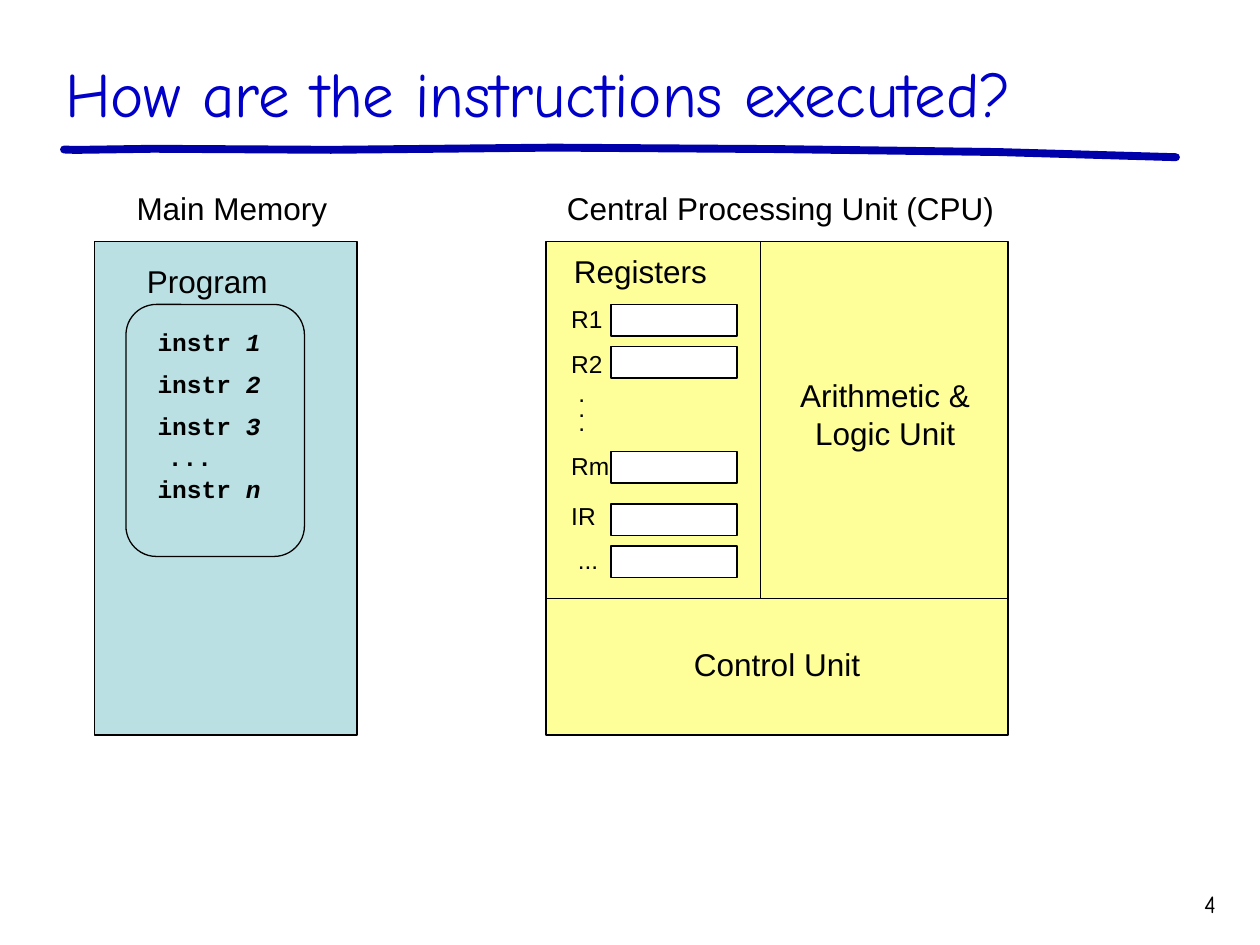
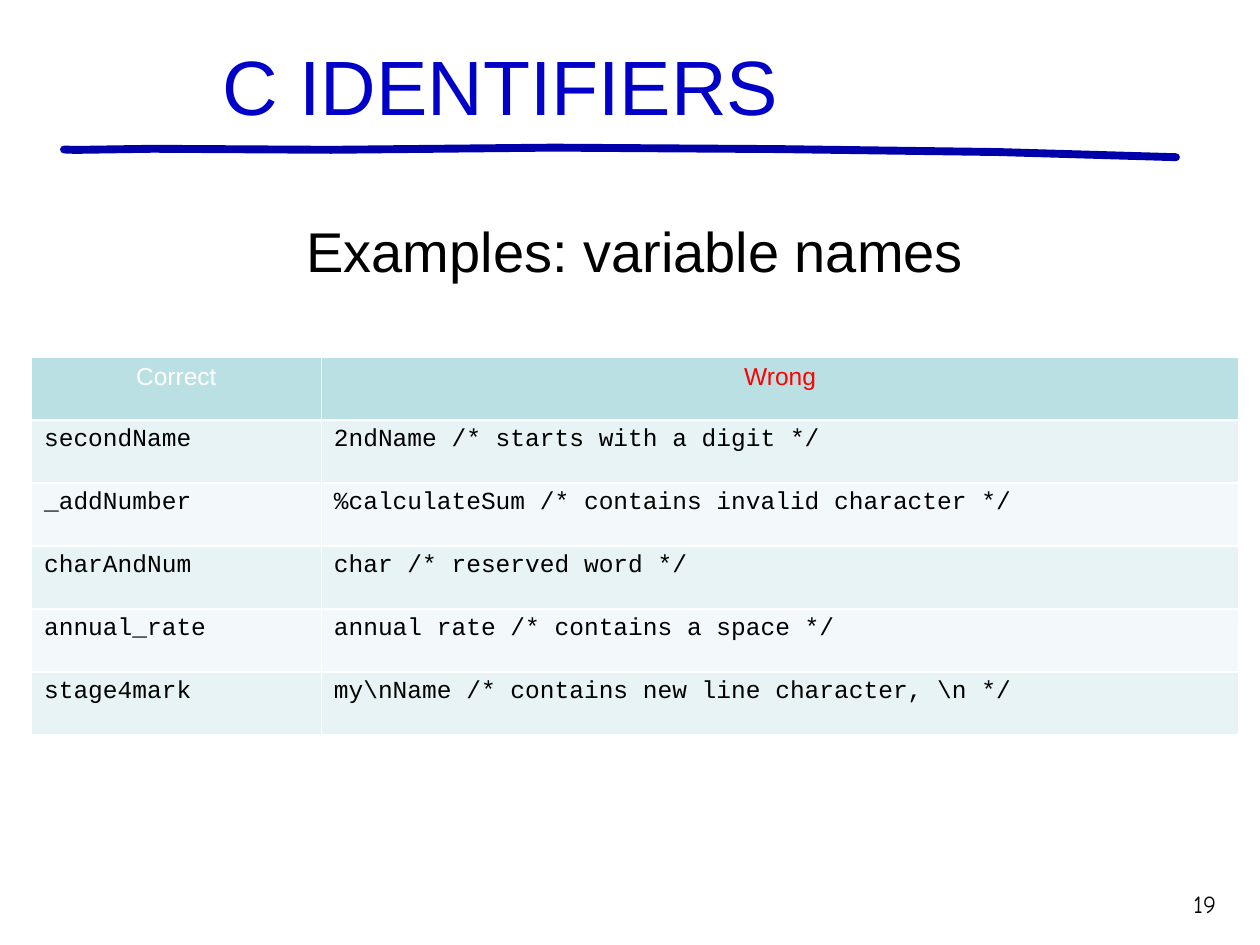
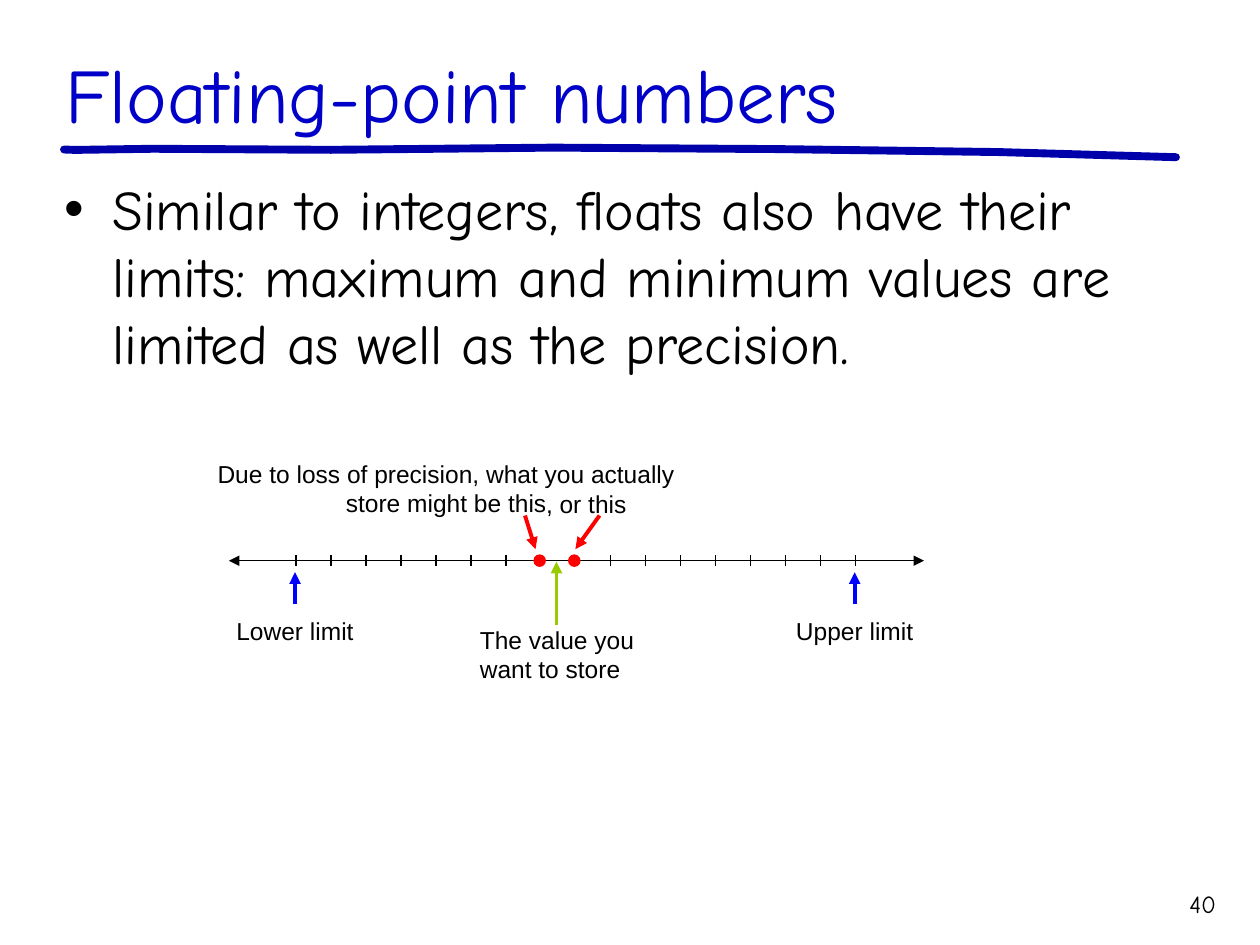
from collections import namedtuple
from dataclasses import dataclass

from lxml import etree
from pptx import Presentation
from pptx.dml.color import RGBColor
from pptx.enum.shapes import MSO_CONNECTOR, MSO_SHAPE
from pptx.enum.text import MSO_ANCHOR, MSO_AUTO_SIZE, PP_ALIGN
from pptx.oxml.ns import qn
from pptx.util import Emu, Pt

LEFT, CENTER, RIGHT = PP_ALIGN.LEFT, PP_ALIGN.CENTER, PP_ALIGN.RIGHT
TOP, MIDDLE = MSO_ANCHOR.TOP, MSO_ANCHOR.MIDDLE
RECT, ROUND, OVAL = MSO_SHAPE.RECTANGLE, MSO_SHAPE.ROUNDED_RECTANGLE, MSO_SHAPE.OVAL
STRAIGHT = MSO_CONNECTOR.STRAIGHT
NO_FIT = MSO_AUTO_SIZE.NONE

COLS, ROWS, CELL = 120, 90, 76200


@dataclass(frozen=True)
class Theme:
    """Colours, fonts and sizes that the slides share."""
    ink: str = "000000"
    paper: str = "FFFFFF"
    title: str = "0000C8"
    band: str = "0000AA"
    yellow: str = "FFFF99"
    teal: str = "BBE0E3"
    stripes: tuple = ("E7F3F4", "F3F9FA")
    red: str = "FF0000"
    blue: str = "0000FF"
    green: str = "99CC00"
    sans: str = "Arial"
    hand: str = "Comic Neue"
    code: str = "Courier New"
    huge: int = 44
    large: int = 36
    body: int = 32
    label: int = 18
    small: int = 14
    thin: float = 0.75
    bold: float = 2.25
    thick: float = 4.5


T = Theme()


class Box(namedtuple("Box", "x y w h")):
    """A region of the slide, measured in grid cells."""

    def cut(self, x, y, w, h):
        """Return a box placed relative to this one."""
        return Box(self.x + x, self.y + y, w, h)

    def spot(self, x, y):
        """Return a point of this box in slide units."""
        return cells(self.x + x), cells(self.y + y)

    def emu(self):
        """Return the four lengths in slide units."""
        return [cells(n) for n in self]


def cells(n):
    """Turn grid cells into slide units."""
    return Emu(round(n * CELL))


def rgb(code):
    """Turn a hex code into a colour."""
    return RGBColor.from_string(code)


def write(frame, lines, size, font=T.sans, color=T.ink, align=LEFT, bold=False, pitch=None):
    """Fill a text frame; a line is a list of (text, italic) runs."""
    for i, line in enumerate(lines):
        para = frame.paragraphs[0] if i == 0 else frame.add_paragraph()
        para.alignment = align
        if pitch:
            para.line_spacing = pitch
        for text, slant in line:
            run = para.add_run()
            run.text = text
            face = run.font
            face.name, face.size, face.bold, face.italic = font, Pt(size), bold, slant
            face.color.rgb = rgb(color)


def plain(text):
    """Wrap a string as one line with one upright run."""
    return [[(text, False)]]


def text(slide, box, lines, size=T.label, inset=False, anchor=MIDDLE, **style):
    """Add a text box and return its frame."""
    frame = slide.shapes.add_textbox(*box.emu()).text_frame
    frame.word_wrap = True
    frame.vertical_anchor = anchor
    if not inset:
        frame.margin_left = frame.margin_right = 0
        frame.margin_top = frame.margin_bottom = 0
    write(frame, plain(lines) if isinstance(lines, str) else lines, size, **style)
    return frame


def shape(slide, kind, box, fill=None, edge=T.ink):
    """Add a preset shape with an optional fill and edge."""
    item = slide.shapes.add_shape(kind, *box.emu())
    item.shadow.inherit = False
    if fill:
        item.fill.solid()
        item.fill.fore_color.rgb = rgb(fill)
    else:
        item.fill.background()
    if edge:
        item.line.color.rgb = rgb(edge)
        item.line.width = Pt(T.thin)
    else:
        item.line.fill.background()
    return item


def line(slide, box, start, end, color=T.ink, width=T.thin, heads=()):
    """Join two points of a box, with arrowheads where asked."""
    item = slide.shapes.add_connector(STRAIGHT, *box.spot(*start), *box.spot(*end))
    item.line.color.rgb = rgb(color)
    item.line.width = Pt(width)
    edge = item.line._get_or_add_ln()
    for head in heads:
        etree.SubElement(edge, qn("a:" + head)).set("type", "triangle")
    etree.SubElement(item._element.spPr, qn("a:effectLst"))


def arrow(slide, box, start, end, color):
    """Add a bold pointer."""
    line(slide, box, start, end, color, T.bold, ["tailEnd"])


def stroke(slide, box):
    """Draw the hand-made rule under the title."""
    bends = [(0, .24), (.01, .28), (.08, .17), (.24, .27), (.44, .06),
             (.64, .2), (.84, .48), (1, .97)]
    first, *rest = [box.spot(x * box.w, y * box.h) for x, y in bends]
    pen = slide.shapes.build_freeform(*first)
    pen.add_line_segments(rest, close=False)
    rule = pen.convert_to_shape()
    rule.shadow.inherit = False
    rule.fill.background()
    rule.line.color.rgb = rgb(T.band)
    rule.line.width = Pt(T.thick)
    rule.line._get_or_add_ln().set("cap", "rnd")


def page(deck, title, number, size=T.huge, font=T.hand, box=Box(5, 3.6, 112, 10.4)):
    """Start a slide with its title, rule and number."""
    slide = deck.slides.add_slide(deck.slide_layouts[5])
    head = slide.shapes.title
    head.left, head.top, head.width, head.height = box.emu()
    frame = head.text_frame
    frame.auto_size = NO_FIT
    frame.vertical_anchor = MIDDLE
    write(frame, plain(title), size, font, T.title)
    stroke(slide, Box(6.1, 14, 105.9, 1))
    text(slide, Box(110, 84, 7, 4.2), number, T.small, inset=True, font=T.hand, align=RIGHT)
    return slide


def memory(slide, box):
    """Draw main memory with the program inside."""
    shape(slide, RECT, box, T.teal)
    text(slide, box.cut(4, -5, 20, 3.6), "Main Memory")
    shape(slide, ROUND, box.cut(3, 6, 17, 24)).adjustments[0] = 0.17
    text(slide, box.cut(5, 2, 14, 3.6), "Program")
    code = dict(size=T.small, font=T.code, bold=True)
    for name, row in zip("123n", (8, 12, 16, 22)):
        text(slide, box.cut(6, row, 10.4, 3), [[("instr ", False), (name, True)]], **code)
    text(slide, box.cut(7, 19, 6, 3), "...", **code)


def cpu(slide, box):
    """Draw the processor: registers, arithmetic and control."""
    split, floor = 20.4, 34
    shape(slide, RECT, box, T.yellow)
    text(slide, box.cut(2, -5, 42, 3.6), "Central Processing Unit (CPU)")
    line(slide, box, (0, floor), (box.w, floor))
    line(slide, box, (split, 0), (split, floor))
    text(slide, box.cut(1, 1, 16, 3.6), "Registers", align=CENTER)
    text(slide, box.cut(22.8, 12.8, 19, 7.2), "Arithmetic & Logic Unit", align=CENTER)
    text(slide, box.cut(1, 38.4, 42, 3.6), "Control Unit", align=CENTER)
    slots = [("R1", 6, .4, LEFT), ("R2", 10, .6, LEFT), ("Rm", 20, .4, LEFT),
             ("IR", 25, .1, LEFT), ("...", 29, .3, CENTER)]
    for name, row, drop, align in slots:
        shape(slide, RECT, box.cut(6.2, row, 12, 3), T.paper)
        left = 2.4 if align == LEFT else 2
        text(slide, box.cut(left, row + drop, 4, 2), name, T.small, align=align)
    text(slide, box.cut(1.4, 14.3, 4, 4), plain(".") * 3, T.small, align=CENTER, pitch=0.5)


def grid(slide, box, heads, rows, share):
    """Draw the table of right and wrong names."""
    table = slide.shapes.add_table(len(rows) + 1, len(heads), *box.emu()).table
    for col, ratio in zip(table.columns, (share, 1 - share)):
        col.width = cells(box.w * ratio)
    for r, row in enumerate([heads] + rows):
        for c, words in enumerate(row):
            cell = table.cell(r, c)
            cell.fill.solid()
            if r == 0:
                cell.fill.fore_color.rgb = rgb(T.teal)
                write(cell.text_frame, plain(words), T.small,
                      color=(T.paper, T.red)[c], align=CENTER)
            else:
                cell.fill.fore_color.rgb = rgb(T.stripes[(r - 1) % 2])
                write(cell.text_frame, plain(words), T.small, T.code)


def point(slide, box, words):
    """Add a bulleted statement with a hanging indent."""
    frame = text(slide, box, words, T.body, inset=True, anchor=TOP, font=T.hand)
    props = frame.paragraphs[0]._p.get_or_add_pPr()
    props.set("marL", str(cells(4.5)))
    props.set("indent", str(cells(-4.5)))
    etree.SubElement(props, qn("a:buFont")).set("typeface", T.sans)
    etree.SubElement(props, qn("a:buChar")).set("char", "•")


def scale(slide, box):
    """Draw the number line with its limits and rounding."""
    axis, first, gap, count = 10.4, 8.2, 3.33, 17
    line(slide, box, (1.8, axis), (68, axis), heads=["headEnd", "tailEnd"])
    for i in range(count):
        x = first + i * gap
        line(slide, box, (x, axis - .5), (x, axis + .5))
    for name, x in (("Lower limit", 8.1), ("Upper limit", 61.4)):
        arrow(slide, box, (x, 14.5), (x, 11.5), T.blue)
        text(slide, box.cut(x - 7, 15.7, 14, 2.8), name, T.small, align=CENTER)
    arrow(slide, box, (33, 16.5), (33, 10.5), T.green)
    text(slide, box.cut(25.7, 16.5, 16, 5.6), "The value you want to store", T.small)
    text(slide, box.cut(.6, .7, 43.8, 5.6),
         "Due to loss of precision, what you actually store might be this",
         T.small, align=CENTER)
    text(slide, box.cut(32, 3.6, 9, 2.8), ", or this", T.small)
    for x, start, end in ((31.4, 30, 31), (34.7, 37.1, 34.8)):
        shape(slide, OVAL, box.cut(x - .6, axis - .6, 1.2, 1.2), T.red, None)
        arrow(slide, box, (start, 6.1), (end, 9.3), T.red)


def main():
    """Build the three slides."""
    deck = Presentation()
    deck.slide_width, deck.slide_height = cells(COLS), cells(ROWS)

    slide = page(deck, "How are the instructions executed?", "4", T.large)
    cpu(slide, Box(52, 23, 44, 47))
    memory(slide, Box(9, 23, 25, 47))

    slide = page(deck, "C IDENTIFIERS", "19", font=T.sans, box=Box(20, 3, 72, 10.1))
    text(slide, Box(3, 20, 115, 12), "Examples: variable names", T.body,
         inset=True, anchor=TOP, align=CENTER)
    names = [
        ("secondName", "2ndName /* starts with a digit */"),
        ("_addNumber", "%calculateSum /* contains invalid character */"),
        ("charAndNum", "char /* reserved word */"),
        ("annual_rate", "annual rate /* contains a space */"),
        ("stage4mark", "my\\nName /* contains new line character, \\n */"),
    ]
    grid(slide, Box(3, 34, 115, 36), ("Correct", "Wrong"), names, 0.24)

    slide = page(deck, "Floating-point numbers", "40")
    point(slide, Box(5, 16, 112, 24),
          "Similar to integers, floats also have their limits: maximum and "
          "minimum values are limited as well as the precision.")
    scale(slide, Box(20, 43, 70, 23))

    deck.save("out.pptx")


main()
